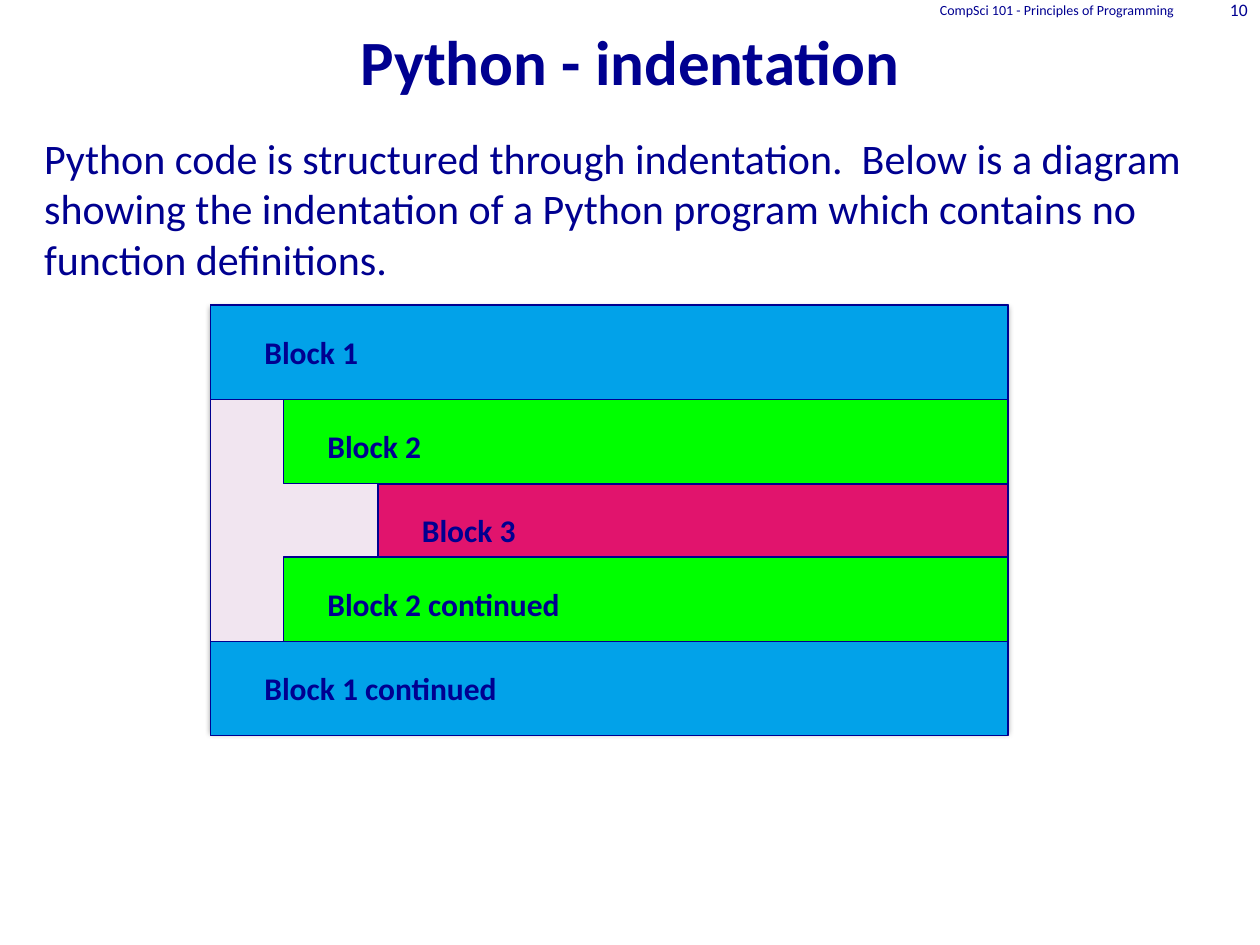
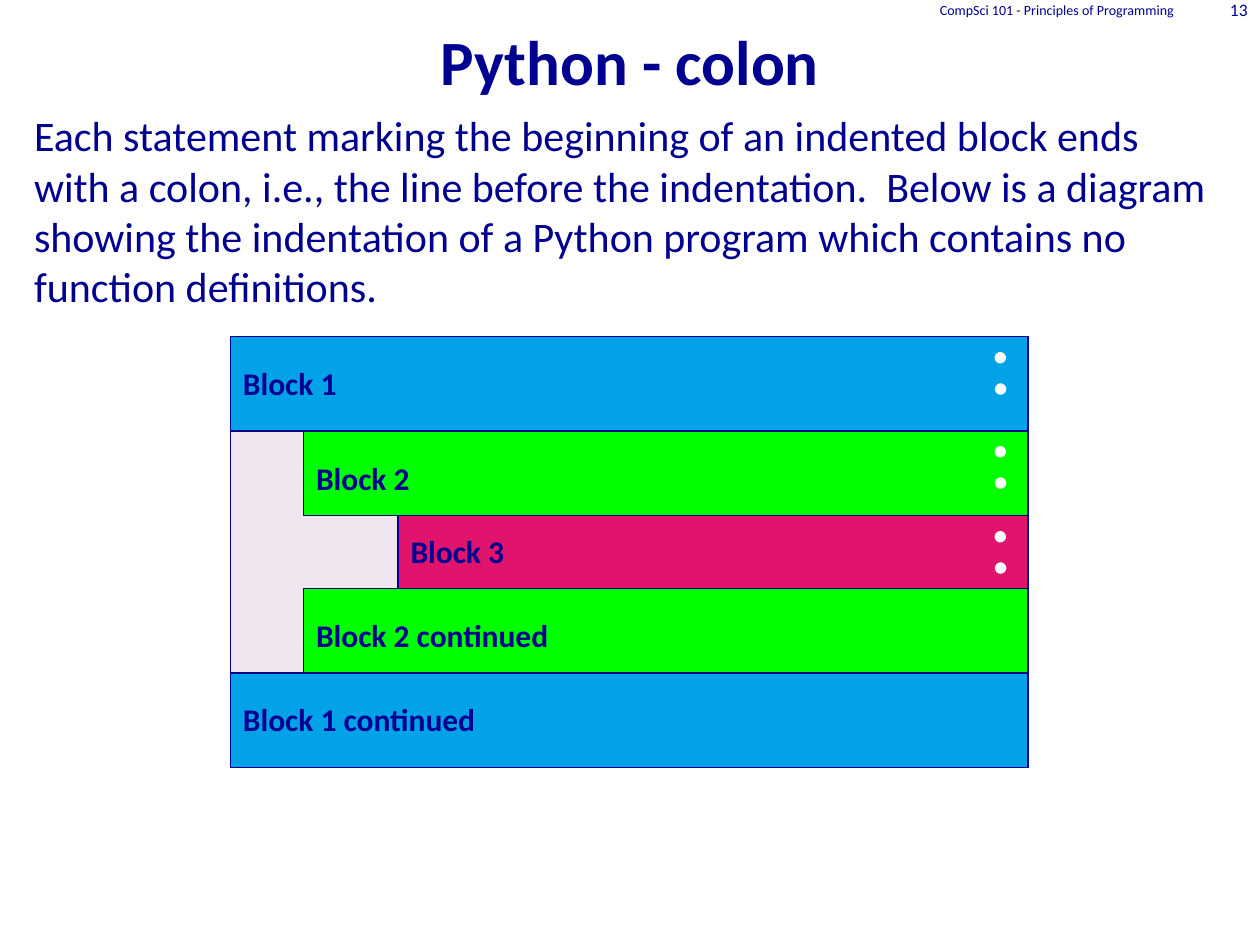
from dataclasses import dataclass

from lxml.etree import SubElement
from pptx import Presentation
from pptx.dml.color import RGBColor
from pptx.enum.shapes import MSO_SHAPE
from pptx.enum.text import MSO_ANCHOR, MSO_AUTO_SIZE, PP_ALIGN
from pptx.oxml.ns import qn
from pptx.util import Inches, Pt


@dataclass(frozen=True)
class Theme:
    font: str = "Calibri"
    ink: str = "000090"
    edge: str = "0000FF"
    white: str = "FFFFFF"
    panel: str = "F1E5F0"
    blue: str = "02A2E9"
    green: str = "00FF00"
    pink: str = "E1146D"
    title: int = 36
    body: int = 24
    label: int = 18
    colon: int = 54
    course: int = 8
    number: int = 10
    line: float = 0.75


THEME = Theme()
COURSE = "CompSci 101 - Principles of Programming"

# label, indent, height, fill
BLOCKS = [
    ("Block 1", 0, 0.75, THEME.blue),
    ("Block 2", 0.58, 0.67, THEME.green),
    ("Block 3", 1.33, 0.58, THEME.pink),
    ("Block 2 continued", 0.58, 0.67, THEME.green),
    ("Block 1 continued", 0, 0.75, THEME.blue),
]
WIDTH, PANEL_HIGH = 6.33, 3.37
LABEL_DOWN = 0.17

# label_in: label inset per block; label_down: exceptions to LABEL_DOWN
SLIDES = [
    dict(
        title="Python - indentation",
        body="Python code is structured through indentation.  Below is a diagram "
             "showing the indentation of a Python program which contains no "
             "function definitions.",
        number=10, body_at=(0.25, 1), origin=(1.67, 2.42),
        label_in=[0.33, 0.25, 0.25, 0.25, 0.33], label_down={},
        edge=THEME.ink, shadow=True, colons=0, frame=False,
    ),
    dict(
        title="Python - colon",
        body="Each statement marking the beginning of an indented block ends with "
             "a colon, i.e., the line before the indentation.  Below is a diagram "
             "showing the indentation of a Python program which contains no "
             "function definitions.",
        number=13, body_at=(0.17, 0.82), origin=(1.83, 2.67),
        label_in=[0] * 5, label_down={"Block 3": 0.08},
        edge=THEME.edge, shadow=False, colons=3, frame=True,
    ),
]


def write(shape, text, size, color=THEME.ink, bold=False,
          align=PP_ALIGN.LEFT, anchor=MSO_ANCHOR.TOP):
    frame = shape.text_frame
    frame.word_wrap = True
    frame.auto_size = MSO_AUTO_SIZE.NONE
    frame.vertical_anchor = anchor
    frame.text = text
    para = frame.paragraphs[0]
    para.alignment = align
    font = para.font
    font.name, font.size, font.bold = THEME.font, Pt(size), bold
    font.color.rgb = RGBColor.from_string(color)
    return para


def place(shape, *box):
    shape.left, shape.top, shape.width, shape.height = map(Inches, box)


def add_text(shapes, box, text, size, **style):
    write(shapes.add_textbox(*map(Inches, box)), text, size, **style)


def add_rect(shapes, box, fill=None, line=THEME.ink):
    rect = shapes.add_shape(MSO_SHAPE.RECTANGLE, *map(Inches, box))
    rect.shadow.inherit = False
    if fill:
        rect.fill.solid()
        rect.fill.fore_color.rgb = RGBColor.from_string(fill)
    else:
        rect.fill.background()
    rect.line.color.rgb = RGBColor.from_string(line)
    rect.line.width = Pt(THEME.line)
    return rect


def cast_shadow(shape):
    effects = shape._element.spPr.find(qn("a:effectLst"))
    outer = SubElement(effects, qn("a:outerShdw"), blurRad=str(Pt(3.1)),
                       dist=str(Pt(1.6)), dir="5400000", rotWithShape="0")
    color = SubElement(outer, qn("a:srgbClr"), val="000000")
    SubElement(color, qn("a:alpha"), val="38000")


def add_header(slide, data):
    place(slide.shapes.title, 0, 0, 10, 0.83)
    write(slide.shapes.title, data["title"], THEME.title, bold=True,
          align=PP_ALIGN.CENTER, anchor=MSO_ANCHOR.BOTTOM)
    body = slide.placeholders[1]
    place(body, *data["body_at"], 9.58, 5.13)
    props = write(body, data["body"], THEME.body)._p.get_or_add_pPr()
    props.set("marL", "0")
    props.set("indent", "0")
    props.insert_element_before(props.makeelement(qn("a:buNone")),
                                "a:tabLst", "a:defRPr", "a:extLst")
    for left, width, text, size in [
        (6.42, 3, COURSE, THEME.course),
        (9.42, 0.58, str(data["number"]), THEME.number),
    ]:
        add_text(slide.shapes, (left, -0.01, width, 0.17), text, size,
                 align=PP_ALIGN.RIGHT, anchor=MSO_ANCHOR.MIDDLE)


def add_diagram(slide, data):
    shapes = slide.shapes.add_group_shape().shapes
    left, top = data["origin"]
    panel = add_rect(shapes, (left, top, WIDTH, PANEL_HIGH),
                     THEME.panel, data["edge"])
    if data["shadow"]:
        cast_shadow(panel)

    tops, y = [], top
    for (label, indent, high, fill), inset in zip(BLOCKS, data["label_in"]):
        x = left + indent
        add_rect(shapes, (x, y, WIDTH - indent, high), fill)
        down = data["label_down"].get(label, LABEL_DOWN)
        add_text(shapes, (x + inset, y + down, 2.42, 0.4), label,
                 THEME.label, bold=True)
        tops.append(y)
        y += high

    for row in tops[:data["colons"]]:
        add_text(shapes, (left + 5.92, row - 0.34, 0.42, 1.01), ":",
                 THEME.colon, color=THEME.white)
    if data["frame"]:
        add_rect(shapes, (left, top, WIDTH, y - top))


def main():
    deck = Presentation()
    deck.slide_width, deck.slide_height = Inches(10), Inches(7.5)
    for data in SLIDES:
        slide = deck.slides.add_slide(deck.slide_layouts[1])
        add_header(slide, data)
        add_diagram(slide, data)
    deck.save("out.pptx")


if __name__ == "__main__":
    main()
